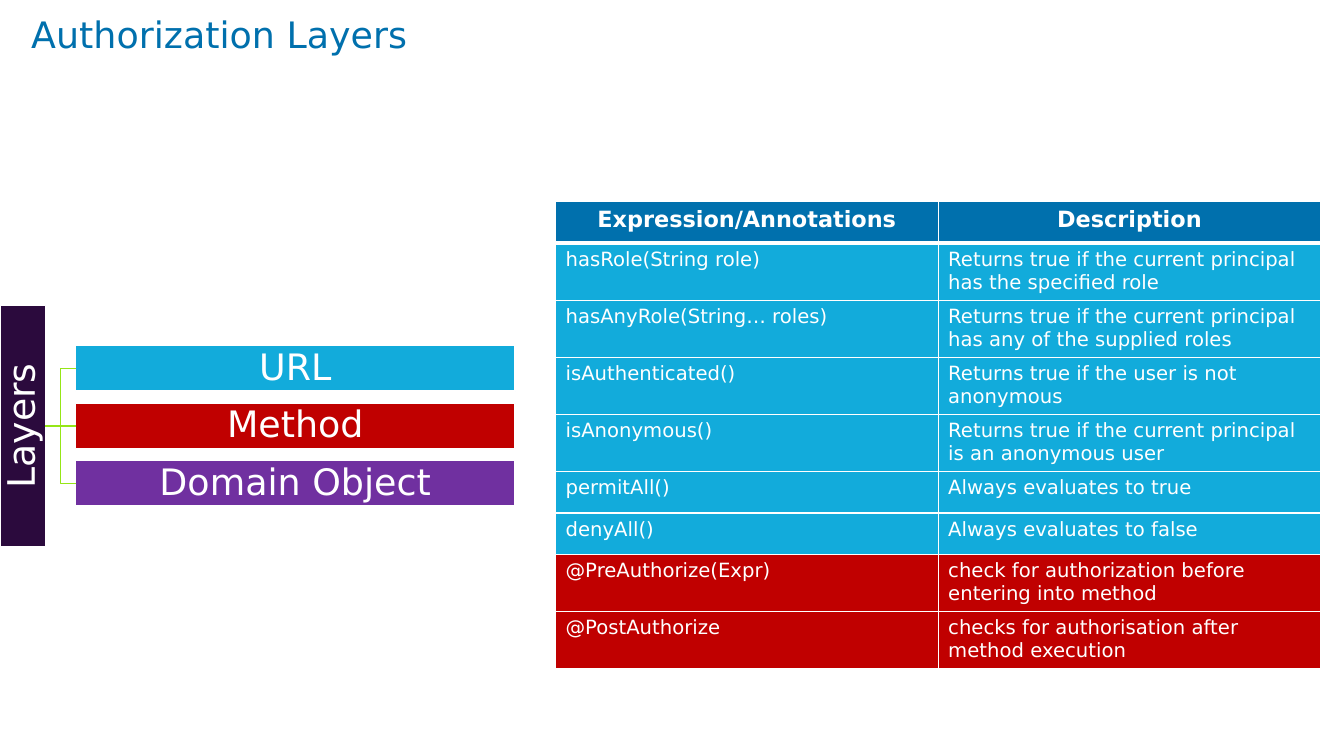
import pptx
import pptx.dml.color
import pptx.enum.shapes
import pptx.enum.text
import pptx.oxml.ns
import pptx.util
from lxml import etree

Inches = pptx.util.Inches
Pt = pptx.util.Pt
qn = pptx.oxml.ns.qn
ALIGN = pptx.enum.text.PP_ALIGN
ANCHOR = pptx.enum.text.MSO_ANCHOR

BLUE, CYAN, RED, PURPLE = "0070AD", "12ABDB", "C00000", "7030A0"
PLUM, LIME, WHITE = "2B0A3D", "95E616", "FFFFFF"

LAYERS = [("URL", CYAN), ("Method", RED), ("Domain Object", PURPLE)]
HEADER = ("Expression/Annotations", "Description")
EXPRESSIONS = [
    ("hasRole(String role)", "Returns true if the current principal has the specified role"),
    ("hasAnyRole(String… roles)", "Returns true if the current principal has any of the supplied roles"),
    ("isAuthenticated()", "Returns true if the user is not anonymous"),
    ("isAnonymous()", "Returns true if the current principal is an anonymous user"),
    ("permitAll()", "Always evaluates to true"),
    ("denyAll()", "Always evaluates to false"),
]
ANNOTATIONS = [
    ("@PreAuthorize(Expr)", "check for authorization before entering into method"),
    ("@PostAuthorize", "checks for authorisation after method execution"),
]


def rgb(value):
    return pptx.dml.color.RGBColor.from_string(value)


def write(tf, text, size, color=WHITE, bold=False, align=ALIGN.LEFT,
          spacing=None, inset=None, anchor=None, font="DejaVu Sans"):
    tf.word_wrap = True
    if inset is not None:
        tf.margin_left = tf.margin_right = Inches(inset)
        tf.margin_top = tf.margin_bottom = Inches(inset)
    if anchor is not None:
        tf.vertical_anchor = anchor
    p = tf.paragraphs[0]
    p.alignment = align
    if spacing:
        p.line_spacing = spacing
    r = p.add_run()
    r.text = text
    r.font.name, r.font.size, r.font.bold = font, Pt(size), bold
    r.font.color.rgb = rgb(color)


class SlideBuilder:
    def __init__(self, slide, line_width=1):
        self.slide = slide
        self.shapes = slide.shapes
        self.line_width = line_width

    def line_style(self, sp, color):
        sp.line.color.rgb = rgb(color)
        sp.line.width = Pt(self.line_width)

    def title(self, text, x, y, w, h):
        sp = self.shapes.add_textbox(Inches(x), Inches(y), Inches(w), Inches(h))
        write(sp.text_frame, text, 26, BLUE, spacing=0.9, inset=0)

    def box(self, text, x, y, w, h, fill, size=26, rotation=0):
        sp = self.shapes.add_shape(pptx.enum.shapes.MSO_SHAPE.RECTANGLE,
                                   Inches(x), Inches(y), Inches(w), Inches(h))
        sp.shadow.inherit = False
        sp.rotation = rotation
        sp.fill.solid()
        sp.fill.fore_color.rgb = rgb(fill)
        self.line_style(sp, WHITE)
        write(sp.text_frame, text, size, align=ALIGN.CENTER, spacing=0.9,
              inset=0.02, anchor=ANCHOR.MIDDLE)
        return sp

    def elbow(self, x1, y1, x2, y2):
        mid = (x1 + x2) / 2
        points = [(Inches(x), Inches(y)) for x, y in ((mid, y1), (mid, y2), (x2, y2))]
        builder = self.shapes.build_freeform(Inches(x1), Inches(y1))
        builder.add_line_segments(points, close=False)
        sp = builder.convert_to_shape()
        sp.shadow.inherit = False
        sp.fill.background()
        self.line_style(sp, LIME)

    def straight(self, x1, y1, x2, y2, start, end):
        cx = self.shapes.add_connector(pptx.enum.shapes.MSO_CONNECTOR.STRAIGHT,
                                       Inches(x1), Inches(y1), Inches(x2), Inches(y2))
        # The start box is turned, so its bottom side faces right
        cx.begin_connect(start, 2)
        cx.begin_x, cx.begin_y = Inches(x1), Inches(y1)
        cx.end_connect(end, 1)
        self.line_style(cx, LIME)
        etree.SubElement(cx._element.spPr, qn("a:effectLst"))

    def cell(self, cell, text, fill, bottom=1, **fmt):
        tcPr = cell._tc.get_or_add_tcPr()
        for side, width in (("L", 1), ("R", 1), ("T", 1), ("B", bottom)):
            ln = etree.SubElement(tcPr, qn("a:ln" + side), w=str(Pt(width)))
            color = etree.SubElement(ln, qn("a:solidFill"))
            etree.SubElement(color, qn("a:srgbClr"), val=WHITE)
        cell.fill.solid()
        cell.fill.fore_color.rgb = rgb(fill)
        write(cell.text_frame, text, **fmt)

    def table(self, header, rows, x, y, w, row_h):
        count = len(rows) + 1
        frame = self.shapes.add_table(count, len(header), Inches(x), Inches(y),
                                      Inches(w), Inches(row_h * count))
        tbl = frame.table
        tbl.horz_banding = False
        for row in tbl.rows:
            row.height = Inches(row_h)
        for c, text in enumerate(header):
            self.cell(tbl.cell(0, c), text, BLUE, bottom=3, size=16,
                      bold=True, align=ALIGN.CENTER)
        for r, (texts, fill) in enumerate(rows, 1):
            for c, text in enumerate(texts):
                self.cell(tbl.cell(r, c), text, fill, size=14)


def main():
    prs = pptx.Presentation()
    prs.slide_width, prs.slide_height = Inches(13.33), Inches(7.5)
    s = SlideBuilder(prs.slides.add_slide(prs.slide_layouts[6]))

    s.title("Authorization Layers", 0.31, 0.17, 11.5, 1.04)

    # Layer tree: a turned root box and one bar per layer
    bar_x, bar_y, bar_w, bar_h, step = 0.75, 3.43, 4.36, 0.45, 0.57
    root_w, root_y = 2.39, bar_y + step
    root = s.box("Layers", (bar_h - root_w) / 2, root_y, root_w, bar_h, PLUM,
                 size=27, rotation=270)
    root_mid = root_y + bar_h / 2
    for i, (name, fill) in enumerate(LAYERS):
        y = bar_y + i * step
        bar = s.box(name, bar_x, y, bar_w, bar_h, fill)
        if i == 1:
            s.straight(bar_h, root_mid, bar_x, root_mid, root, bar)
        else:
            s.elbow(bar_h, root_mid, bar_x, y + bar_h / 2)

    # Expressions in cyan, annotations in red
    rows = [(texts, CYAN) for texts in EXPRESSIONS]
    rows += [(texts, RED) for texts in ANNOTATIONS]
    s.table(HEADER, rows, 5.51, 2, 7.59, 0.41)

    prs.save("out.pptx")


if __name__ == "__main__":
    main()
